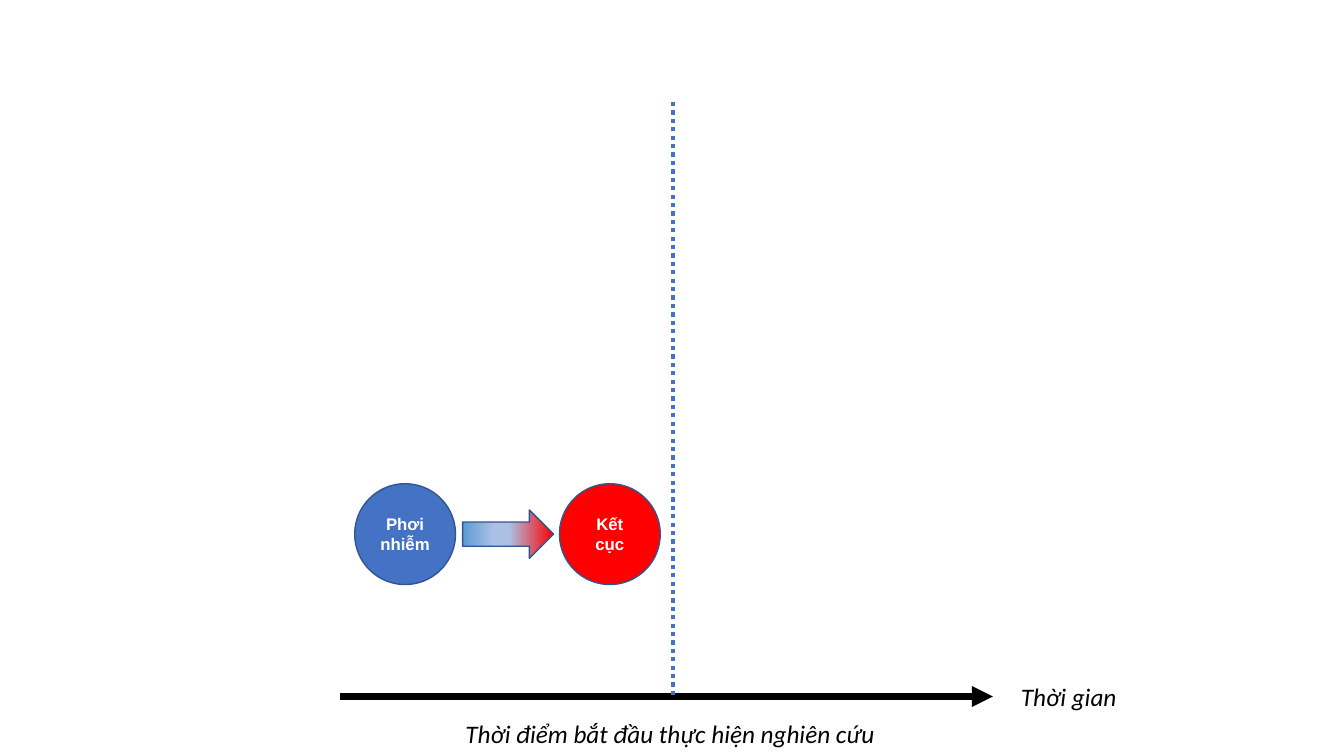
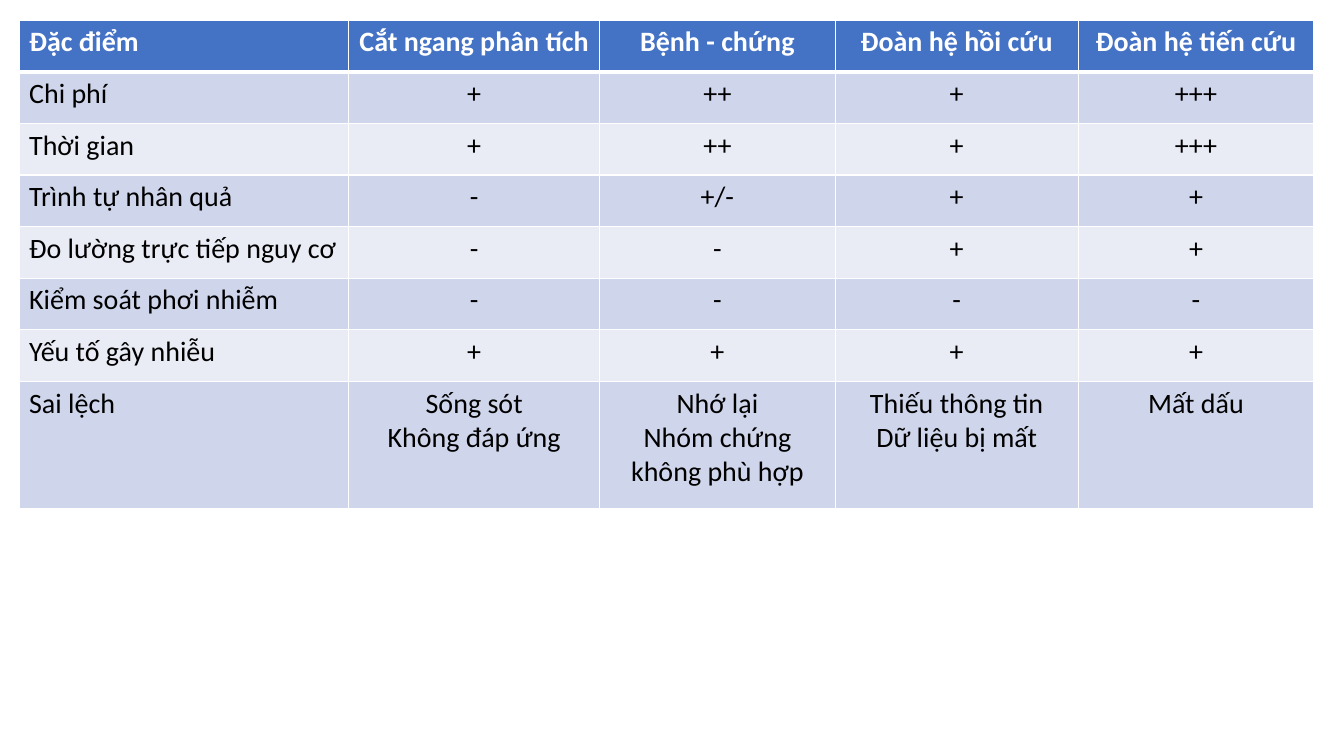
from pptx import Presentation
from pptx.dml.color import RGBColor
from pptx.enum.dml import MSO_LINE
from pptx.enum.shapes import MSO_CONNECTOR, MSO_SHAPE
from pptx.enum.text import MSO_ANCHOR, MSO_AUTO_SIZE, PP_ALIGN
from pptx.oxml import parse_xml
from pptx.oxml.ns import nsdecls
from pptx.util import Cm, Pt

# Shared style
BLUE, RED, WHITE, BLACK = "4472C4", "FF0000", "FFFFFF", "000000"
OUTLINE = "325491"
BANDS = ("CFD5EA", "E9EBF5")


def color(hex_code):
    return RGBColor.from_string(hex_code)


def write(frame, text, font="Calibri", size=18, ink=BLACK, bold=False,
          italic=False, align=PP_ALIGN.LEFT):
    """Fill a text frame; each line of text becomes a paragraph."""
    frame.text = text
    for paragraph in frame.paragraphs:
        paragraph.alignment = align
        for run in paragraph.runs:
            run.font.name, run.font.size = font, Pt(size)
            run.font.bold, run.font.italic = bold, italic
            run.font.color.rgb = color(ink)


class Deck:
    def __init__(self):
        self.presentation = Presentation()
        self.presentation.slide_width = Cm(33.87)
        self.presentation.slide_height = Cm(19.05)
        self.slide = None

    def new_slide(self):
        blank = self.presentation.slide_layouts[6]
        self.slide = self.presentation.slides.add_slide(blank)

    def line(self, x1, y1, x2, y2, ink, width, dash=None, arrow=False):
        connector = self.slide.shapes.add_connector(
            MSO_CONNECTOR.STRAIGHT, Cm(x1), Cm(y1), Cm(x2), Cm(y2))
        connector.line.color.rgb = color(ink)
        connector.line.width = Pt(width)
        if dash:
            connector.line.dash_style = dash
        if arrow:
            connector.line._get_or_add_ln().append(
                parse_xml(f'<a:tailEnd {nsdecls("a")} type="triangle"/>'))
        connector._element.spPr.append(parse_xml(f'<a:effectLst {nsdecls("a")}/>'))

    def label(self, text, x, y, width, height=1.02):
        frame = self.slide.shapes.add_textbox(
            Cm(x), Cm(y), Cm(width), Cm(height)).text_frame
        frame.word_wrap = False
        frame.auto_size = MSO_AUTO_SIZE.SHAPE_TO_FIT_TEXT
        write(frame, text, italic=True)

    def shape(self, kind, x, y, width, height, fill):
        shape = self.slide.shapes.add_shape(
            kind, Cm(x), Cm(y), Cm(width), Cm(height))
        shape.shadow.inherit = False
        shape.fill.solid()
        shape.fill.fore_color.rgb = color(fill)
        shape.line.color.rgb = color(OUTLINE)
        shape.line.width = Pt(1)
        return shape

    def circle(self, text, x, y, diameter, fill):
        frame = self.shape(MSO_SHAPE.OVAL, x, y, diameter, diameter, fill).text_frame
        frame.word_wrap = True
        frame.vertical_anchor = MSO_ANCHOR.MIDDLE
        write(frame, text, font="Arial", size=12, ink=WHITE, bold=True,
              align=PP_ALIGN.CENTER)

    def gradient_arrow(self, x, y, width, height, stops):
        arrow = self.shape(MSO_SHAPE.RIGHT_ARROW, x, y, width, height, BLUE)
        arrow.fill.gradient()
        arrow.fill.gradient_angle = 0
        stop_list = arrow._element.spPr.find(".//{*}gsLst")
        for old_stop in list(stop_list):
            stop_list.remove(old_stop)
        for percent, ink in stops:
            stop_list.append(parse_xml(
                f'<a:gs {nsdecls("a")} pos="{percent * 1000}">'
                f'<a:srgbClr val="{ink}"/></a:gs>'))

    def cell_borders(self, cell, top=1, bottom=1):
        properties = cell._tc.get_or_add_tcPr()
        for side, width in (("L", 1), ("R", 1), ("T", top), ("B", bottom)):
            properties.append(parse_xml(
                f'<a:ln{side} {nsdecls("a")} w="{Pt(width)}"><a:solidFill>'
                f'<a:srgbClr val="{WHITE}"/></a:solidFill></a:ln{side}>'))

    def table(self, rows, x, y, widths, heights):
        table = self.slide.shapes.add_table(
            len(rows), len(widths), Cm(x), Cm(y),
            Cm(sum(widths)), Cm(sum(heights))).table
        for column, width in zip(table.columns, widths):
            column.width = Cm(width)
        for r, (texts, height) in enumerate(zip(rows, heights)):
            table.rows[r].height = Cm(height)
            header = r == 0
            for c, text in enumerate(texts):
                cell = table.cell(r, c)
                self.cell_borders(cell, top=3 if r == 1 else 1,
                                  bottom=3 if header else 1)
                cell.fill.solid()
                cell.fill.fore_color.rgb = color(BLUE if header else BANDS[(r - 1) % 2])
                write(cell.text_frame, text, size=20, bold=header,
                      ink=WHITE if header else BLACK,
                      align=PP_ALIGN.CENTER if c else PP_ALIGN.LEFT)


deck = Deck()

# Slide 1: exposure and outcome on the time axis
deck.new_slide()
deck.line(8.56, 17.55, 25.02, 17.55, BLACK, 5, arrow=True)
deck.label("Thời gian", 25.48, 17.04, 2.92)
deck.line(16.97, 2.57, 16.97, 17.53, BLUE, 3, dash=MSO_LINE.ROUND_DOT)
deck.label("Thời điểm bắt đầu thực hiện nghiên cứu", 11.48, 17.98, 10.95)
deck.circle("Phơi nhiễm", 8.94, 12.19, 2.54, BLUE)
deck.circle("Kết cục", 14.1, 12.19, 2.54, RED)
deck.gradient_arrow(11.66, 12.85, 2.29, 1.22,
                    [(0, "5B9BD5"), (34, "ABC0E4"), (51, "ABC0E4"), (100, RED)])

# Slide 2: comparison of study designs
deck.new_slide()
design_comparison = [
    ("Đặc điểm", "Cắt ngang phân tích", "Bệnh - chứng",
     "Đoàn hệ hồi cứu", "Đoàn hệ tiến cứu"),
    ("Chi phí", "+", "++", "+", "+++"),
    ("Thời gian", "+", "++", "+", "+++"),
    ("Trình tự nhân quả", "-", "+/-", "+", "+"),
    ("Đo lường trực tiếp nguy cơ", "-", "-", "+", "+"),
    ("Kiểm soát phơi nhiễm", "-", "-", "-", "-"),
    ("Yếu tố gây nhiễu", "+", "+", "+", "+"),
    ("Sai lệch", "Sống sót\nKhông đáp ứng", "Nhớ lại\nNhóm chứng không phù hợp",
     "Thiếu thông tin\nDữ liệu bị mất", "Mất dấu"),
]
deck.table(design_comparison, 0.48, 0.51,
           widths=[8.31, 6.32, 5.94, 6.12, 5.94], heights=[1.3] * 7 + [3.2])

deck.presentation.save("out.pptx")
